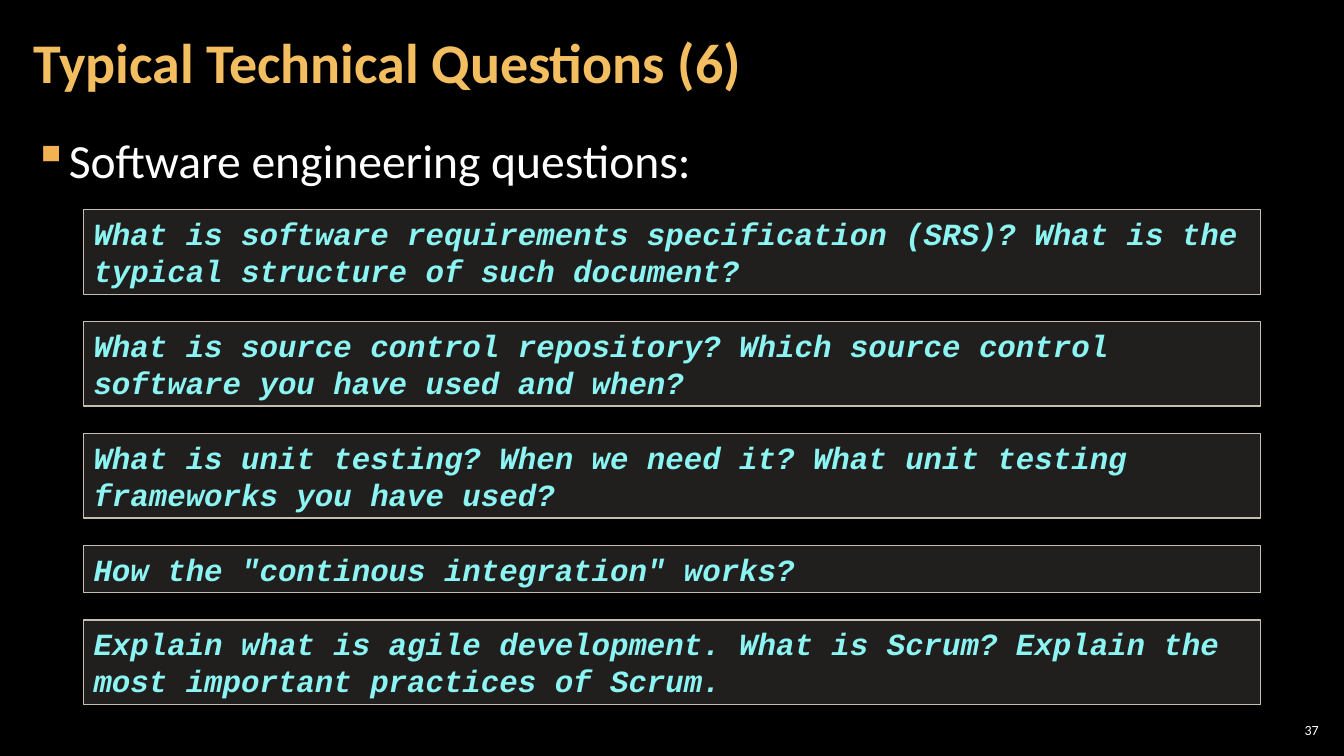
from lxml import etree
from pptx import Presentation
from pptx import util as u
from pptx.dml.color import RGBColor
from pptx.enum import shapes, text
from pptx.oxml.ns import qn

# Content: each question with the number of lines it takes
TITLE = "Typical Technical Questions (6)"
TOPIC = "Software engineering questions:"
PAGE = "37"
QUESTIONS = [
    ("What is software requirements specification (SRS)? "
     "What is the typical structure of such document?", 2),
    ("What is source control repository? "
     "Which source control software you have used and when?", 2),
    ("What is unit testing? When we need it? "
     "What unit testing frameworks you have used?", 2),
    ('How the "continous integration" works?', 1),
    ("Explain what is agile development. What is Scrum? "
     "Explain the most important practices of Scrum.", 2),
]


class Theme:
    background, white = "000000", "FFFFFF"
    title, bullet = "F3BE60", "F2B254"
    question, box, border = "8CF4F2", "D9D5C7", "C7BFAC"
    box_alpha = 15
    body_font, code_font = "Calibri", "Courier New"
    title_size, topic_size, question_size, page_size = 40, 34, 22, 10


def rgb(value):
    return RGBColor.from_string(value)


def write(shape, words, size, color, font=Theme.body_font, bold=False,
          italic=False, insets=(0.12, 0.04), anchor=text.MSO_ANCHOR.TOP,
          align=text.PP_ALIGN.LEFT):
    frame = shape.text_frame
    frame.word_wrap = True
    frame.vertical_anchor = anchor
    frame.margin_left = frame.margin_right = u.Inches(insets[0])
    frame.margin_top = frame.margin_bottom = u.Inches(insets[1])
    paragraph = frame.paragraphs[0]
    paragraph.text = words
    paragraph.alignment = align
    style = paragraph.font
    style.name, style.size = font, u.Pt(size)
    style.bold, style.italic = bold, italic
    style.color.rgb = rgb(color)
    return paragraph


def add_bullet(paragraph, mark, color, indent):
    props = paragraph._p.get_or_add_pPr()
    props.set("marL", str(u.Inches(indent)))
    props.set("indent", str(-u.Inches(indent)))
    bullet_color = etree.SubElement(props, qn("a:buClr"))
    etree.SubElement(bullet_color, qn("a:srgbClr"), val=color)
    etree.SubElement(props, qn("a:buChar"), char=mark)


deck = Presentation()
deck.slide_width, deck.slide_height = u.Inches(13.33), u.Inches(7.5)
slide = deck.slides.add_slide(deck.slide_layouts[6])
slide.background.fill.solid()
slide.background.fill.fore_color.rgb = rgb(Theme.background)


def text_area(*place):
    return slide.shapes.add_textbox(*map(u.Inches, place))


# Title, topic and page number
title = write(text_area(0.21, 0.04, 10.47, 1.21), TITLE, Theme.title_size,
              Theme.title, bold=True, anchor=text.MSO_ANCHOR.MIDDLE)
title.line_spacing = 0.9

topic = write(text_area(0.21, 1.26, 12.91, 0.75), TOPIC, Theme.topic_size,
              Theme.white)
topic.space_after = u.Pt(6)
add_bullet(topic, "▪", Theme.bullet, 0.33)

write(text_area(12.65, 7.14, 0.47, 0.21), PAGE, Theme.page_size, Theme.white,
      insets=(0.04, 0.04), anchor=text.MSO_ANCHOR.MIDDLE,
      align=text.PP_ALIGN.RIGHT)

# Question boxes, stacked with equal gaps
LEFT, WIDTH, GAP = 0.83, 11.67, 0.27
LINE_HEIGHT, PADDING = 0.37, 0.05
top = 2.08
for words, lines in QUESTIONS:
    height = lines * LINE_HEIGHT + 2 * PADDING
    box = slide.shapes.add_shape(
        shapes.MSO_SHAPE.RECTANGLE,
        *map(u.Inches, (LEFT, top, WIDTH, height)))
    box.shadow.inherit = False
    box.fill.solid()
    box.fill.fore_color.rgb = rgb(Theme.box)
    fill_color = box.fill._xPr.find(qn("a:solidFill"))[0]
    etree.SubElement(fill_color, qn("a:alpha"),
                     val=str(Theme.box_alpha * 1000))
    box.line.color.rgb = rgb(Theme.border)
    box.line.width = u.Pt(1)
    write(box, words, Theme.question_size, Theme.question, Theme.code_font,
          bold=True, italic=True, insets=(0.1, PADDING))
    top += height + GAP

deck.save("out.pptx")
